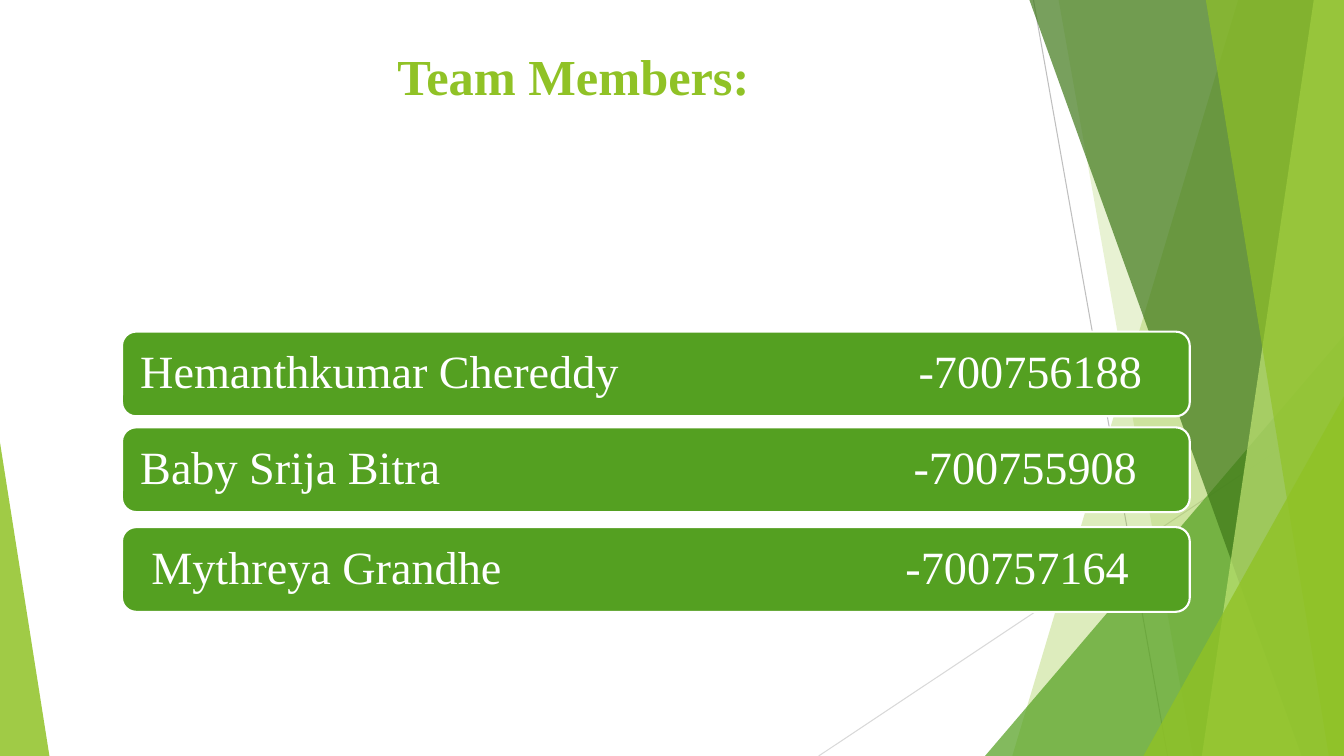
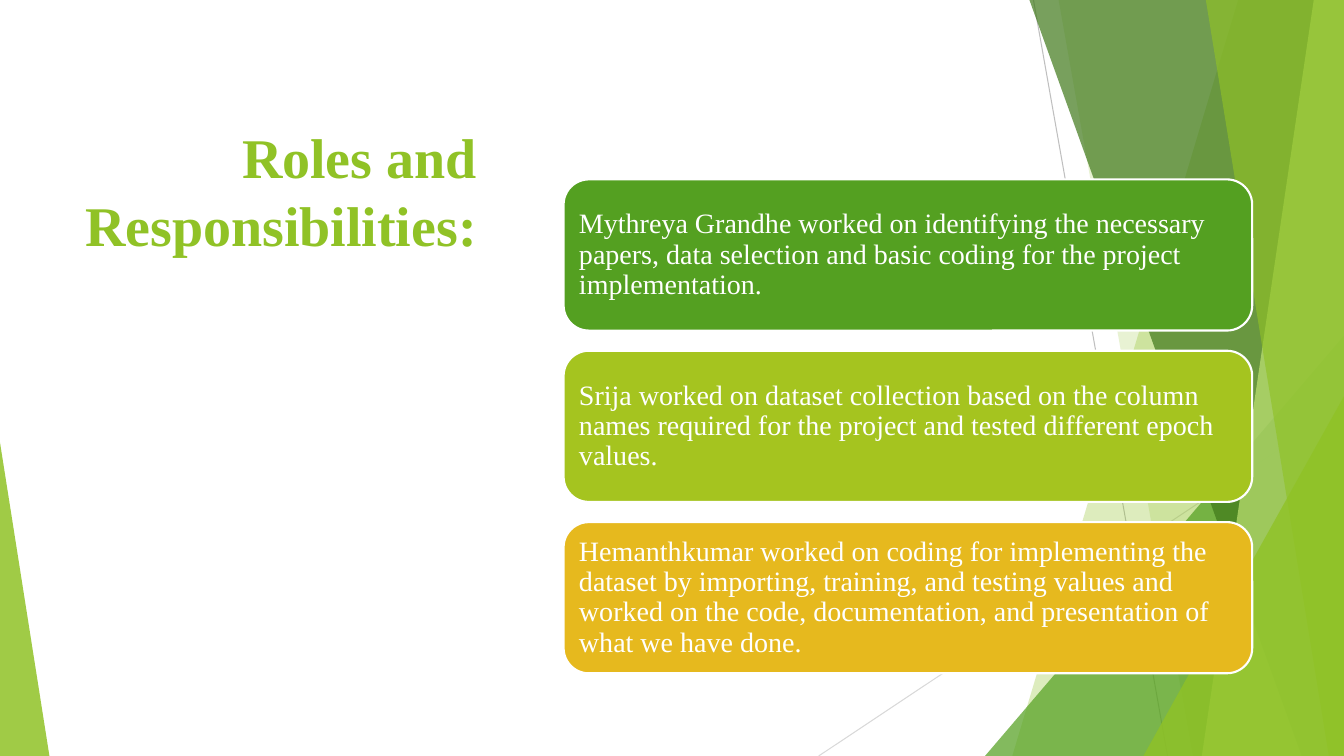
from lxml import etree
from pptx import Presentation
from pptx import util as u
from pptx.dml.color import RGBColor
from pptx.enum import shapes, text
from pptx.oxml.ns import qn

COLOURS = {
    "lime": "90C226",
    "green": "54A021",
    "forest": "3F7819",
    "pale": "C0E474",
    "olive": "A5C41F",
    "gold": "E6B91E",
    "grey": "BFBFBF",
    "silver": "D9D9D9",
    "white": "FFFFFF",
}
FONT = "Times New Roman"
WIDTH, HEIGHT = 13.33, 7.5


def rgb(colour):
    return RGBColor.from_string(COLOURS[colour])


class Deck:
    def __init__(self):
        self.prs = Presentation()
        self.prs.slide_width = u.Inches(WIDTH)
        self.prs.slide_height = u.Inches(HEIGHT)
        self.slide = None

    def add_slide(self):
        self.slide = self.prs.slides.add_slide(self.prs.slide_layouts[5])

    def paint(self, shape, colour, opacity=100):
        shape.shadow.inherit = False
        shape.fill.solid()
        shape.fill.fore_color.rgb = rgb(colour)
        if opacity < 100:
            fill = next(shape.element.iter(qn("a:srgbClr")))
            etree.SubElement(fill, qn("a:alpha"), val=str(opacity * 1000))
            shape.line.fill.background()

    def ray(self, group, start, end, colour):
        points = [u.Inches(value) for value in (*start, *end)]
        ray = group.shapes.add_connector(shapes.MSO_CONNECTOR.STRAIGHT, *points)
        ray.line.color.rgb = rgb(colour)
        ray.line.width = u.Pt(0.75)
        etree.SubElement(ray.element.spPr, qn("a:effectLst"))

    def band(self, group, top_left, bottom_left, colour, opacity):
        outline = group.shapes.build_freeform(u.Inches(top_left), 0)
        corners = [(WIDTH, 0), (WIDTH, HEIGHT), (bottom_left, HEIGHT)]
        outline.add_line_segments([(u.Inches(x), u.Inches(y)) for x, y in corners])
        self.paint(outline.convert_to_shape(), colour, opacity)

    def wedge(self, group, left, top, width, apex, colour, opacity):
        wedge = group.shapes.add_shape(
            shapes.MSO_SHAPE.ISOSCELES_TRIANGLE, u.Inches(left), u.Inches(top),
            u.Inches(width), u.Inches(HEIGHT - top))
        wedge.adjustments[0] = apex
        self.paint(wedge, colour, opacity)

    def backdrop(self):
        facets = self.slide.shapes.add_group_shape()
        self.ray(facets, (10.25, 0), (11.58, HEIGHT), "grey")
        self.ray(facets, (WIDTH, 4.03), (8.12, HEIGHT), "silver")
        self.band(facets, 12.28, 10.04, "lime", 30)
        self.band(facets, 10.5, 11.83, "lime", 20)
        self.wedge(facets, 9.77, 3.33, 3.56, 1, "green", 72)
        self.band(facets, 10.21, 12.91, "forest", 70)
        self.band(facets, 13.03, 11.92, "pale", 70)
        self.band(facets, 11.96, 13.18, "lime", 65)
        self.wedge(facets, 11.34, 3.93, 1.99, 1, "lime", 80)
        self.wedge(facets, 0, 4.39, 0.49, 0, "lime", 85)
        for number, properties in enumerate(facets.element.iter(qn("p:cNvPr")), 101):
            properties.set("id", str(number))
        self.prs.slide_master.element.cSld.spTree.insert(2, facets.element)

    def add_text(self, paragraph, content, size, colour, bold=False):
        run = paragraph.add_run()
        run.text = content
        run.font.name = FONT
        run.font.size = u.Pt(size)
        run.font.bold = bold
        run.font.color.rgb = rgb(colour)

    def title(self, content, left, top, width, height, size, align):
        title = self.slide.shapes.title
        title.left, title.top = u.Inches(left), u.Inches(top)
        title.width, title.height = u.Inches(width), u.Inches(height)
        frame = title.text_frame
        frame.word_wrap = True
        frame.auto_size = text.MSO_AUTO_SIZE.NONE
        frame.vertical_anchor = text.MSO_ANCHOR.TOP
        frame.paragraphs[0].alignment = align
        self.add_text(frame.paragraphs[0], content, size, "lime", bold=True)

    def card(self, content, left, top, width, height, colour, size, inset, indent=0):
        card = self.slide.shapes.add_shape(
            shapes.MSO_SHAPE.ROUNDED_RECTANGLE, u.Inches(left), u.Inches(top),
            u.Inches(width), u.Inches(height))
        self.paint(card, colour)
        card.line.color.rgb = rgb("white")
        card.line.width = u.Pt(1.5)
        frame = card.text_frame
        frame.word_wrap = True
        frame.vertical_anchor = text.MSO_ANCHOR.MIDDLE
        frame.margin_left = u.Inches(inset + indent)
        frame.margin_right = frame.margin_top = frame.margin_bottom = u.Inches(inset)
        line = frame.paragraphs[0]
        line.alignment = text.PP_ALIGN.LEFT
        line.line_spacing = 0.9
        self.add_text(line, content, size, "white")
        return card

    def tab_stop(self, card, position):
        properties = next(card.element.iter(qn("a:pPr")))
        tabs = etree.SubElement(properties, qn("a:tabLst"))
        etree.SubElement(tabs, qn("a:tab"), pos=str(u.Inches(position)), algn="l")


def main():
    deck = Deck()

    deck.add_slide()
    deck.backdrop()
    deck.title("Team Members:", 3.84, 0.4, 7.83, 1.45, 36, text.PP_ALIGN.LEFT)
    members = [
        ("Hemanthkumar Chereddy", "-700756188", 3.29, 0, 7.72),
        ("Baby Srija Bitra", "-700755908", 4.24, 0, 7.67),
        ("Mythreya Grandhe", "-700757164", 5.23, 0.11, 7.48),
    ]
    for name, student_id, top, indent, id_left in members:
        member = deck.card(f"{name}\t{student_id}", 1.21, top, 10.59, 0.84,
                           "green", 33, 0.14, indent)
        deck.tab_stop(member, id_left)

    deck.add_slide()
    deck.title("Roles and Responsibilities:", 0.52, 1.17, 4.31, 6.11, 40,
               text.PP_ALIGN.RIGHT)
    roles = [
        ("green", "Mythreya Grandhe worked on identifying the necessary papers, "
         "data selection and basic coding for the project implementation."),
        ("olive", "Srija worked on dataset collection based on the column names "
         "required for the project and tested different epoch values."),
        ("gold", "Hemanthkumar worked on coding for implementing the dataset by "
         "importing, training, and testing values and worked on the code, "
         "documentation, and presentation of what we have done."),
    ]
    for row, (colour, role) in enumerate(roles):
        deck.card(role, 5.59, 1.78 + row * 1.7, 6.83, 1.5, colour, 20, 0.08)

    deck.prs.save("out.pptx")


if __name__ == "__main__":
    main()
